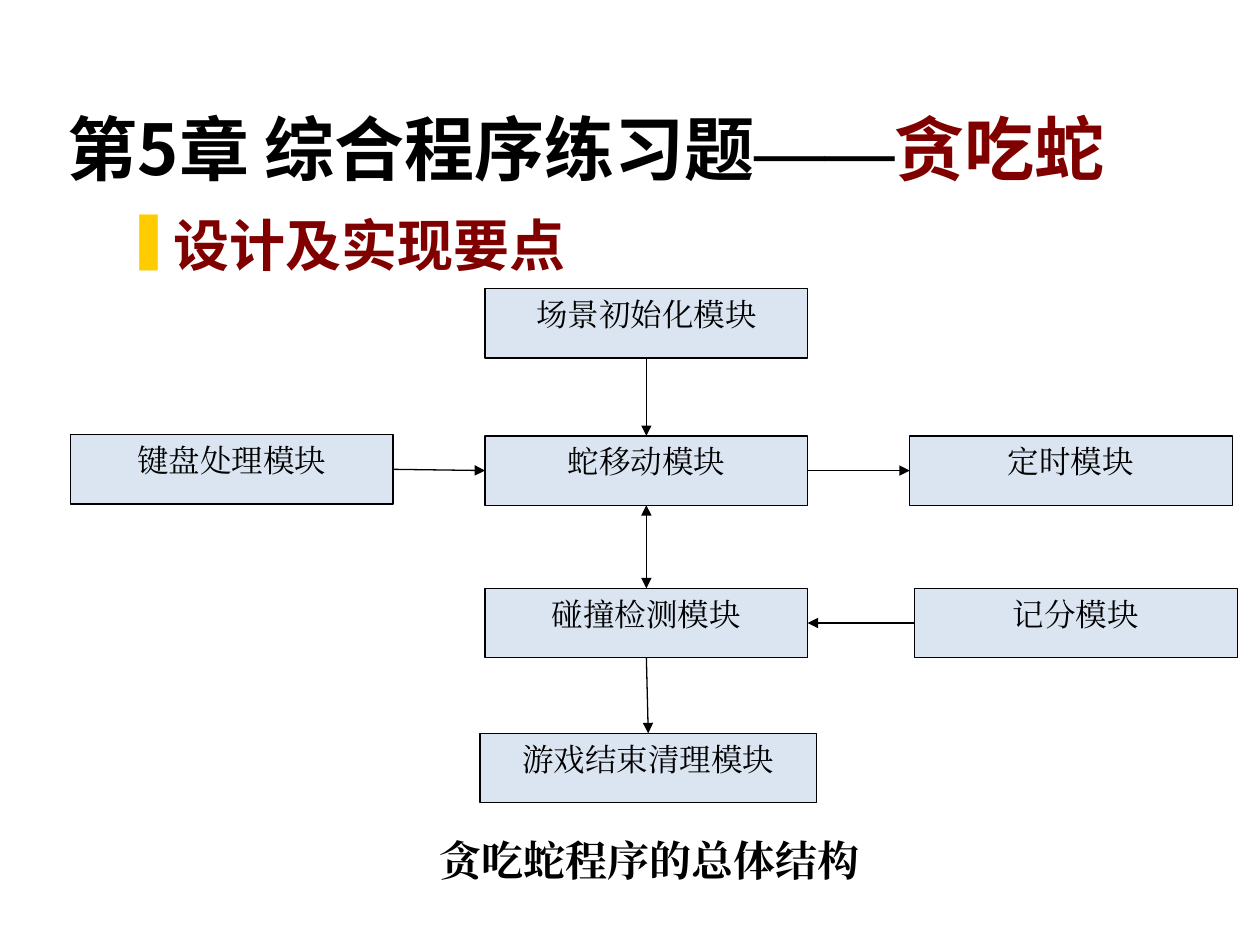
from lxml.etree import SubElement
from pptx import Presentation
from pptx.dml.color import RGBColor
from pptx.enum.shapes import MSO_CONNECTOR, MSO_SHAPE
from pptx.enum.text import MSO_ANCHOR, PP_ALIGN
from pptx.oxml.ns import qn
from pptx.util import Inches, Pt

SANS, SERIF, LATO = "Noto Sans CJK SC", "Times New Roman", "Lato"
BLACK, MAROON, GOLD, PALE_BLUE = "000000", "800000", "FFCC00", "DBE5F1"

# Content: text, font, colour
TITLE = [
    ("第5章 综合程序练习题", SANS, BLACK),
    ("——", SERIF, BLACK),
    ("贪吃蛇", SANS, MAROON),
]
HEADING = [("设计及实现要点", LATO, MAROON)]
CAPTION = [("贪吃蛇程序的总体结构", SERIF, BLACK)]

# Modules: key -> label, left, top, width
MODULE_HEIGHT = 0.55
MODULES = {
    "init": ("场景初始化模块", 3.85, 2.29, 2.56),
    "move": ("蛇移动模块", 3.85, 3.46, 2.56),
    "keyboard": ("键盘处理模块", 0.56, 3.45, 2.56),
    "collision": ("碰撞检测模块", 3.85, 4.67, 2.56),
    "timer": ("定时模块", 7.22, 3.46, 2.56),
    "cleanup": ("游戏结束清理模块", 3.81, 5.82, 2.67),
    "score": ("记分模块", 7.26, 4.67, 2.56),
}
# Flows: from, side, to, side, arrowheads (connection sites of a box)
TOP, LEFT, BOTTOM, RIGHT = range(4)
FLOWS = [
    ("init", BOTTOM, "move", TOP, ["tailEnd"]),
    ("keyboard", RIGHT, "move", LEFT, ["tailEnd"]),
    ("move", RIGHT, "timer", LEFT, ["tailEnd"]),
    ("score", LEFT, "collision", RIGHT, ["tailEnd"]),
    ("move", BOTTOM, "collision", TOP, ["headEnd", "tailEnd"]),
    ("collision", BOTTOM, "cleanup", TOP, ["tailEnd"]),
]


def color(hex_string):
    return RGBColor.from_string(hex_string)


def write(shape, runs, size, bold=False, align=PP_ALIGN.LEFT,
          anchor=MSO_ANCHOR.TOP, wrap=True):
    frame = shape.text_frame
    frame.word_wrap = wrap
    frame.vertical_anchor = anchor
    paragraph = frame.paragraphs[0]
    paragraph.alignment = align
    for text, font_name, text_color in runs:
        run = paragraph.add_run()
        run.text = text
        run.font.name = font_name
        run.font.size = Pt(size)
        run.font.bold = bold
        run.font.color.rgb = color(text_color)
        # Chinese characters take the East Asian typeface
        SubElement(run.font._element, qn("a:ea"), typeface=font_name)
    return paragraph


def add_bullet(paragraph, char, bullet_color, indent):
    properties = paragraph._p.get_or_add_pPr()
    properties.set("marL", str(Inches(indent)))
    properties.set("indent", str(-Inches(indent)))
    fill = SubElement(properties, qn("a:buClr"))
    SubElement(fill, qn("a:srgbClr"), val=bullet_color)
    SubElement(properties, qn("a:buChar"), char=char)


def add_module(slide, label, left, top, width):
    module = slide.shapes.add_shape(
        MSO_SHAPE.FLOWCHART_PROCESS, Inches(left), Inches(top),
        Inches(width), Inches(MODULE_HEIGHT))
    module.shadow.inherit = False
    module.fill.solid()
    module.fill.fore_color.rgb = color(PALE_BLUE)
    module.line.color.rgb = color(BLACK)
    module.line.width = Pt(0.75)
    write(module, [(label, SERIF, BLACK)], 18, align=PP_ALIGN.CENTER)
    return module


def add_flow(slide, source, source_side, target, target_side, heads):
    flow = slide.shapes.add_connector(MSO_CONNECTOR.STRAIGHT, 0, 0, 0, 0)
    flow.begin_connect(source, source_side)
    flow.end_connect(target, target_side)
    flow.line.color.rgb = color(BLACK)
    flow.line.width = Pt(0.75)
    outline = flow.line._get_or_add_ln()
    for head in heads:
        SubElement(outline, qn(f"a:{head}"), type="triangle")
    SubElement(flow._element.spPr, qn("a:effectLst"))


def add_text(slide, left, top, width, height, runs, size, **style):
    box = slide.shapes.add_textbox(
        Inches(left), Inches(top), Inches(width), Inches(height))
    return write(box, runs, size, bold=True, **style)


def main():
    deck = Presentation()
    deck.slide_width, deck.slide_height = Inches(10), Inches(7.5)
    slide = deck.slides.add_slide(deck.slide_layouts[6])

    # Title and heading
    add_text(slide, 0.44, 0.25, 9.12, 1.3, TITLE, 40,
             anchor=MSO_ANCHOR.BOTTOM)
    heading = add_text(slide, 0.9, 1.62, 5.17, 0.69, HEADING, 32,
                       align=PP_ALIGN.JUSTIFY)
    add_bullet(heading, "❚", GOLD, 0.38)

    # Module diagram
    boxes = {key: add_module(slide, *module) for key, module in MODULES.items()}
    for source, source_side, target, target_side, heads in FLOWS:
        add_flow(slide, boxes[source], source_side,
                 boxes[target], target_side, heads)

    # Caption
    add_text(slide, 3.03, 6.51, 4.25, 0.63, CAPTION, 24,
             align=PP_ALIGN.CENTER, anchor=MSO_ANCHOR.MIDDLE, wrap=False)

    deck.save("out.pptx")


if __name__ == "__main__":
    main()
